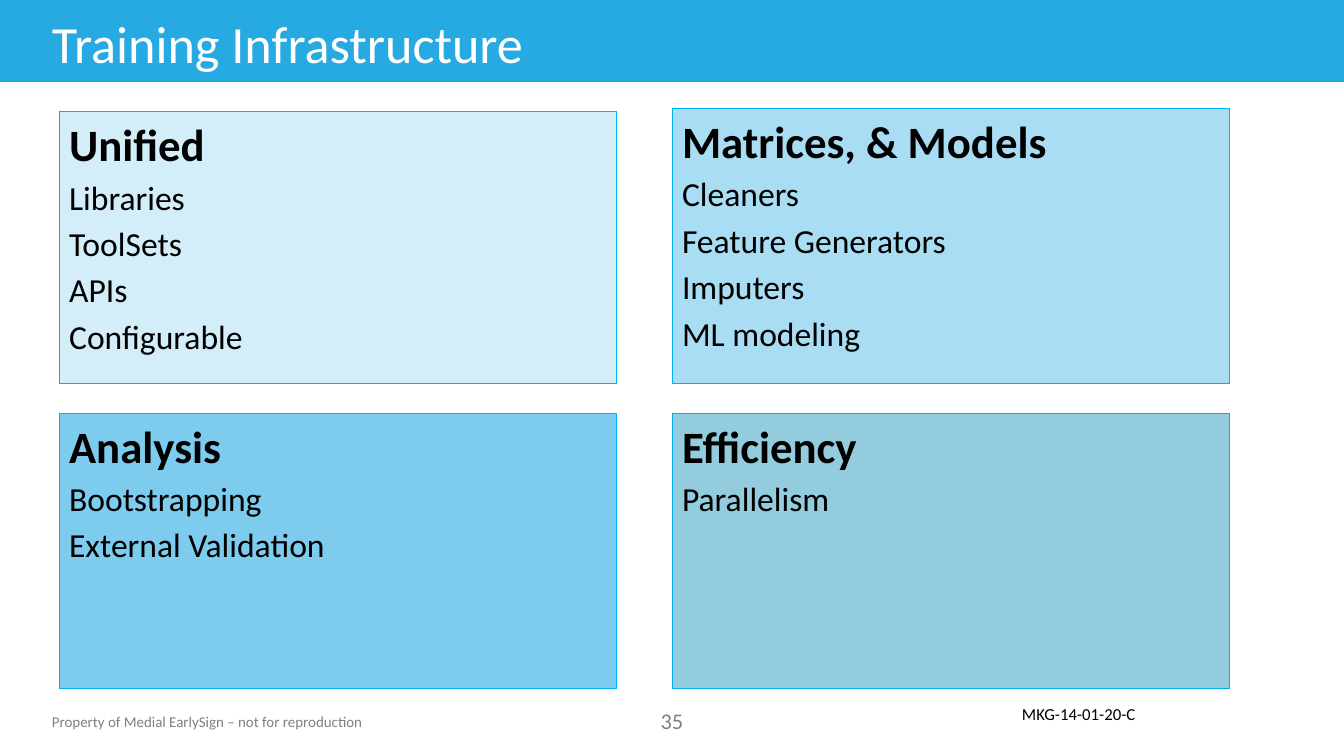
from dataclasses import dataclass

import pptx
import pptx.dml.color
import pptx.enum.shapes
import pptx.enum.text
import pptx.util

Pt = pptx.util.Pt
ALIGN = pptx.enum.text.PP_ALIGN
ANCHOR = pptx.enum.text.MSO_ANCHOR


@dataclass(frozen=True)
class Theme:
    font: str = "Calibri"
    banner: str = "27A9E1"
    border: str = "00B0F0"
    ink: str = "000000"
    light: str = "FFFFFF"
    muted: str = "808080"
    panels: tuple = ("D4EEF9", "A9DDF3", "7DCBED", "93CDDD")
    title: float = 37.3
    heading: float = 32
    body: float = 24
    number: float = 16
    code: float = 12
    notice: float = 10.7
    item_gap: float = 4.3


THEME = Theme()
PANELS = (
    ("Unified", ("Libraries", "ToolSets", "APIs", "Configurable")),
    ("Matrices, & Models",
     ("Cleaners", "Feature Generators", "Imputers", "ML modeling")),
    ("Analysis", ("Bootstrapping", "External Validation")),
    ("Efficiency", ("Parallelism",)),
)


def rgb(value):
    return pptx.dml.color.RGBColor.from_string(value)


def style(p, size, color, bold=False):
    for r in p.runs:
        r.font.name = THEME.font
        r.font.size = Pt(size)
        r.font.bold = bold
        r.font.color.rgb = rgb(color)


def add_rect(s, box, fill, line=None):
    sp = s.shapes.add_shape(pptx.enum.shapes.MSO_SHAPE.RECTANGLE, *map(Pt, box))
    sp.shadow.inherit = False
    sp.fill.solid()
    sp.fill.fore_color.rgb = rgb(fill)
    if line:
        sp.line.color.rgb = rgb(line)
        sp.line.width = Pt(0.75)
    else:
        sp.line.fill.background()
    return sp


def add_label(s, box, text, size, color, align=ALIGN.LEFT, anchor=ANCHOR.TOP, wrap=True):
    tf = s.shapes.add_textbox(*map(Pt, box)).text_frame
    tf.word_wrap = wrap
    tf.vertical_anchor = anchor
    tf.text = text
    p = tf.paragraphs[0]
    p.alignment = align
    style(p, size, color)


def add_header(s, box, text):
    x, y, w, h = box
    add_rect(s, box, THEME.banner)
    add_label(s, (x + 30, y + 5, w - 160.8, h - 6.5), text, THEME.title,
              THEME.light, anchor=ANCHOR.MIDDLE)


def add_panel(s, box, heading, items, fill):
    tf = add_rect(s, box, fill, THEME.border).text_frame
    tf.word_wrap = True
    tf.vertical_anchor = ANCHOR.TOP
    tf.text = "\n".join((heading, *items))
    for i, p in enumerate(tf.paragraphs):
        p.alignment = ALIGN.LEFT
        if i:
            p.space_before = Pt(THEME.item_gap)
        style(p, THEME.body if i else THEME.heading, THEME.ink, bold=i == 0)


def add_panel_grid(s, box):
    x, y, w, h = box
    panel_w, panel_h = 398.2, 196.6
    for i, (heading, items) in enumerate(PANELS):
        row, col = divmod(i, 2)
        inset = 2.2 if i == 0 else 0
        panel = (x + col * (w - panel_w), y + row * (h - panel_h) + inset,
                 panel_w, panel_h - inset)
        add_panel(s, panel, heading, items, THEME.panels[i])


def add_footer(s, box):
    x, y, w, h = box
    add_label(s, (x + 30, y + 6.5, 240, 20.2),
              "Property of Medial EarlySign – not for reproduction",
              THEME.notice, THEME.muted, wrap=False)
    add_label(s, (x + w / 2 - 29.2, y + 2.9, 58.4, 26.6), "35",
              THEME.number, THEME.muted, align=ALIGN.CENTER)
    add_label(s, (x + w - 237.1, y, 99.4, 21.6), "MKG-14-01-20-C",
              THEME.code, THEME.ink, wrap=False)


def main():
    prs = pptx.Presentation()
    prs.slide_width, prs.slide_height = Pt(960), Pt(540)
    s = prs.slides.add_slide(prs.slide_layouts[6])
    add_header(s, (0, -0.7, 960, 59.3), "Training Infrastructure")
    add_panel_grid(s, (42.3, 77.6, 836, 414.2))
    add_footer(s, (0, 498.9, 960, 41.1))
    prs.save("out.pptx")


if __name__ == "__main__":
    main()
